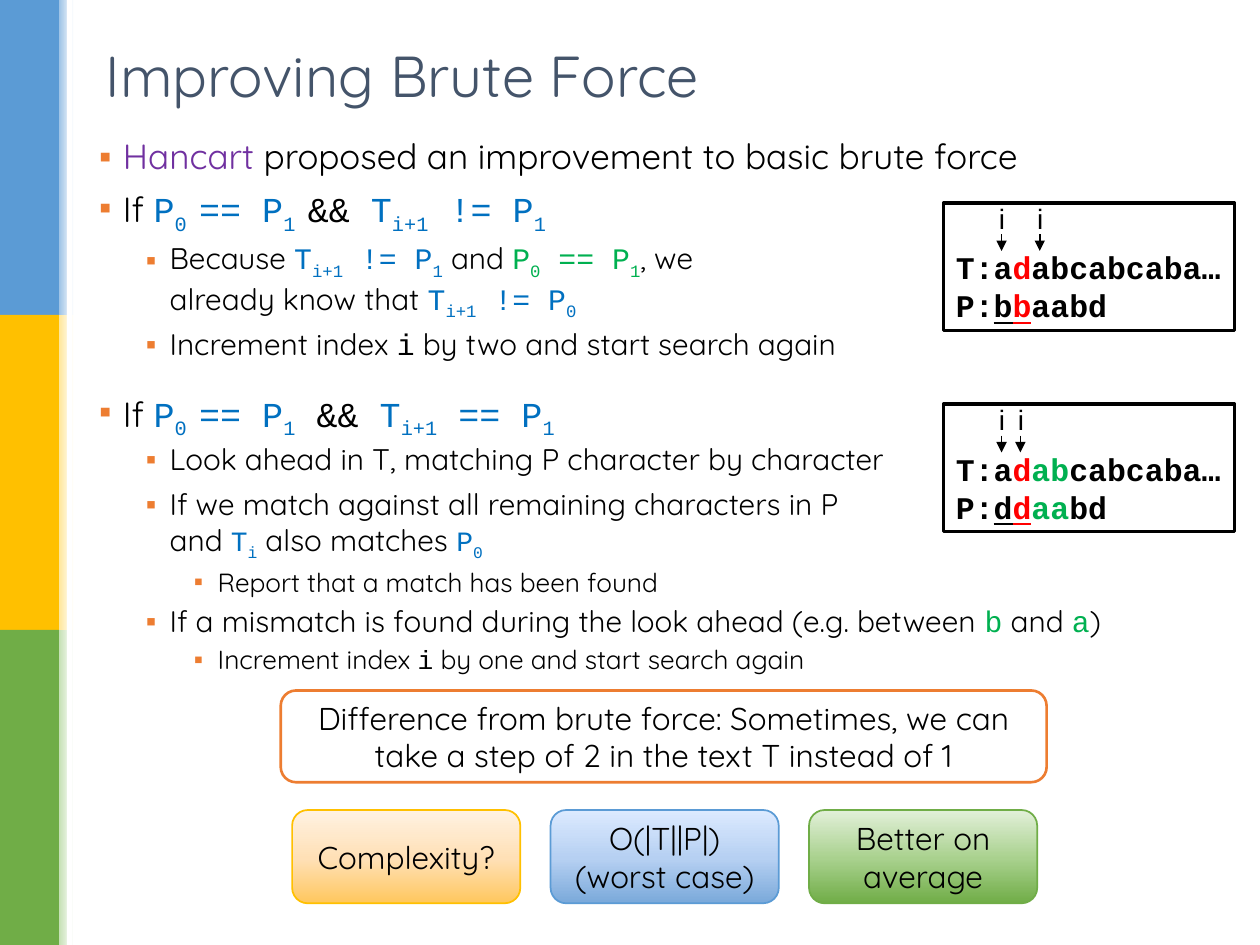
"""Build the slide on improving brute force string search."""
from dataclasses import dataclass
from typing import NamedTuple

from lxml import etree
from pptx import Presentation
from pptx import util as u
from pptx.dml import color
from pptx.enum import shapes, text
from pptx.oxml import ns

SANS, MONO = "Quicksand", "Courier New"
BLACK, WHITE, RED = "000000", "FFFFFF", "FF0000"
BLUE, GREEN, ORANGE = "0070C0", "00B050", "ED7D31"
SIZES = (20, 17, 15)
INDENTS = (0.48, 1.42, 2.39)
BOX = shapes.MSO_SHAPE.RECTANGLE
ROUND = shapes.MSO_SHAPE.ROUNDED_RECTANGLE
MID = text.MSO_ANCHOR.MIDDLE
CENTER = text.PP_ALIGN.CENTER


class Run(NamedTuple):
    text: str
    hue: str = BLACK
    font: str = SANS
    size: float = 0
    bold: bool = False
    line: bool = False


@dataclass
class Item:
    level: int
    runs: list[Run]
    lead: float = 0.9
    gap: float = 0


@dataclass
class Trace:
    top: float
    marks: tuple[float, ...]
    runs: list[Run]


@dataclass
class Card:
    lines: tuple[str, ...]
    edge: str
    stops: tuple[str, str, str]


def rgb(hue: str) -> color.RGBColor:
    return color.RGBColor.from_string(hue)


def code(words: str, hue: str = BLACK, size: float = 0) -> Run:
    return Run(words, hue, MONO, size)


def bold(words: str, hue: str = BLACK, line: bool = False) -> Run:
    return Run(words, hue, MONO, 18, True, line)


def write(para, runs: list[Run], size: float) -> None:
    """Add runs; odd parts between tildes are subscripts."""
    for run in runs:
        for spot, part in enumerate(run.text.split("~")):
            for row, words in enumerate(part.split("\n")):
                if row:
                    para.add_line_break()
                if not words:
                    continue
                bit = para.add_run()
                bit.text = words
                font = bit.font
                font.name, font.size = run.font, u.Pt(run.size or size)
                font.color.rgb = rgb(run.hue)
                font.bold, font.underline = run.bold, run.line
                if spot % 2:
                    font._element.set("baseline", "-25000")


def shade(shape, stops: tuple[str, ...], spots: tuple[int, ...], angle: int) -> None:
    shape.fill.gradient()
    grad = shape._element.spPr.find(ns.qn("a:gradFill"))
    stack = grad.find(ns.qn("a:gsLst"))
    for old in list(stack):
        stack.remove(old)
    for hue, spot in zip(stops, spots):
        stop = etree.SubElement(stack, ns.qn("a:gs"), pos=str(spot * 1000))
        etree.SubElement(stop, ns.qn("a:srgbClr"), val=hue)
    grad.find(ns.qn("a:lin")).set("ang", str(angle * 60000))


def block(slide, kind, x: float, y: float, w: float, h: float,
          fill: str = "", edge: str = "", width: float = 1):
    shape = slide.shapes.add_shape(kind, u.Cm(x), u.Cm(y), u.Cm(w), u.Cm(h))
    shape.shadow.inherit = False
    if fill:
        shape.fill.solid()
        shape.fill.fore_color.rgb = rgb(fill)
    else:
        shape.fill.background()
    if edge:
        shape.line.color.rgb = rgb(edge)
        shape.line.width = u.Pt(width)
    else:
        shape.line.fill.background()
    return shape


def label(slide, x: float, y: float, w: float, h: float):
    frame = slide.shapes.add_textbox(u.Cm(x), u.Cm(y), u.Cm(w), u.Cm(h)).text_frame
    frame.word_wrap = True
    return frame


def center(shape, lines: tuple[str, ...]) -> None:
    frame = shape.text_frame
    frame.vertical_anchor = MID
    for row, words in enumerate(lines):
        para = frame.add_paragraph() if row else frame.paragraphs[0]
        para.alignment = CENTER
        write(para, [Run(words)], 18)


def bullet(para, level: int) -> None:
    props = para._p.get_or_add_pPr()
    props.set("marL", str(u.Cm(INDENTS[level])))
    props.set("indent", str(-u.Cm(INDENTS[0])))
    tint = etree.SubElement(props, ns.qn("a:buClr"))
    etree.SubElement(tint, ns.qn("a:srgbClr"), val=ORANGE)
    etree.SubElement(props, ns.qn("a:buFont"), typeface="Arial")
    etree.SubElement(props, ns.qn("a:buChar"), char="▪")


def outline(slide, items: list[Item]) -> None:
    frame = label(slide, 1.75, 2.69, 22.53, 16.05)
    for row, item in enumerate(items):
        para = frame.add_paragraph() if row else frame.paragraphs[0]
        size = SIZES[item.level]
        para.level, para.line_spacing = item.level, item.lead
        para.space_before = u.Pt((0.3 * size if row else 0) + item.gap)
        bullet(para, item.level)
        write(para, item.runs, size)


def trace(slide, item: Trace) -> None:
    """Draw the framed text and pattern with index arrows."""
    frame = block(slide, BOX, 19.02, item.top, 5.87, 2.57, "", BLACK, 2).text_frame
    frame.word_wrap = False
    frame.vertical_anchor = text.MSO_ANCHOR.BOTTOM
    para = frame.paragraphs[0]
    para.alignment, para.line_spacing = text.PP_ALIGN.LEFT, u.Pt(21.7)
    write(para, item.runs, 18)
    for x in item.marks:
        arrow = slide.shapes.add_connector(
            shapes.MSO_CONNECTOR.STRAIGHT, u.Cm(x), u.Cm(item.top + 0.63),
            u.Cm(x), u.Cm(item.top + 0.97))
        arrow.line.color.rgb, arrow.line.width = rgb(BLACK), u.Pt(1)
        etree.SubElement(arrow.line._get_or_add_ln(), ns.qn("a:tailEnd"), type="triangle")
        etree.SubElement(arrow._element.spPr, ns.qn("a:effectLst"))
        mark = label(slide, x - 0.17, item.top - 0.15, 0.36, 0.94)
        mark.margin_left = mark.margin_right = 0
        mark.paragraphs[0].alignment = CENTER
        write(mark.paragraphs[0], [Run("i", font="Arial")], 16)


BARS = (("5B9BD5", "9DC3E6"), ("FFC000", "FFE699"), ("70AD47", "C5E0B4"))
NEXT = "T~i+1~ != P~1"
ITEMS = [
    Item(0, [Run("Hancart", "7030A0"), Run(" proposed an improvement to basic brute force")]),
    Item(0, [Run("If "), code("P~0 ~== P~1 ", BLUE), code("&& "), code(NEXT, BLUE)]),
    Item(1, [Run("Because "), code(NEXT, BLUE), Run(" and "), code("P~0~ == P~1", GREEN),
             Run(", we\nalready know that "), code("T~i+1~ != P~0", BLUE)], 1.0),
    Item(1, [Run("Increment index "), code("i"), Run(" by two and start search again")]),
    Item(0, [Run("If "), code("P~0 ~== P~1", BLUE), code(" && "),
             code("T~i+1~ == P~1", BLUE)], gap=11.5),
    Item(1, [Run("Look ahead in T, matching P character by character")]),
    Item(1, [Run("If we match against all remaining characters in P\nand "),
             code("T~i", BLUE, 16), Run(" also matches "), code("P~0", BLUE, 16)], 1.0),
    Item(2, [Run("Report that a match has been found")]),
    Item(1, [Run("If a mismatch is found during the look ahead (e.g. between "),
             code("b", GREEN), Run(" and "), code("a", GREEN), Run(")")]),
    Item(2, [Run("Increment index "), code("i"), Run(" by one and start search again")]),
]
TRACES = [
    Trace(4.09, (20.19, 20.96), [
        bold("T:a"), bold("d", RED), bold("abcabcaba…\nP:"), bold("b", line=True),
        bold("b", RED, True), bold("aabd")]),
    Trace(8.15, (20.19, 20.57), [
        bold("T:a"), bold("d", RED), bold("ab", GREEN), bold("cabcaba…\nP:"),
        bold("d", line=True), bold("d", RED, True), bold("aa", GREEN), bold("bd")]),
]
CARDS = [
    Card(("Complexity?",), "FFC000", ("FFC75E", "FFE0B6", "FFF2E2")),
    Card(("O(|T||P|)", "(worst case)"), "5B9BD5", ("7AA9DA", "B6D0F2", "DCEAFF")),
    Card(("Better on average",), "70AD47", ("70AD47", "A9D18E", "E2F0D9")),
]

deck = Presentation()
deck.slide_width, deck.slide_height = u.Cm(25.4), u.Cm(19.05)
page = deck.slides.add_slide(deck.slide_layouts[6])
for row, (hue, pale) in enumerate(BARS):
    block(page, BOX, 0, row * 6.35, 1.19, 6.35, hue)
    shade(block(page, BOX, 1.19, row * 6.35, 0.3, 6.35), (pale, WHITE), (0, 100), 0)
block(page, BOX, 1.35, 0, 0.1, 19.05, WHITE)
title = label(page, 1.88, 0.66, 21.89, 1.68)
title.vertical_anchor = MID
write(title.paragraphs[0], [Run("Improving Brute Force", "44546A")], 33)
outline(page, ITEMS)
for item in TRACES:
    trace(page, item)
center(block(page, ROUND, 5.66, 13.92, 15.44, 1.85, WHITE, ORANGE, 1.5),
       ("Difference from brute force: Sometimes, we can take a step of 2 "
        "in the text T instead of 1",))
for col, card in enumerate(CARDS):
    shape = block(page, ROUND, 5.89 + col * 5.21, 16.33, 4.6, 1.88, "", card.edge)
    shade(shape, card.stops, (0, 48, 100), 270)
    center(shape, card.lines)
deck.save("out.pptx")
